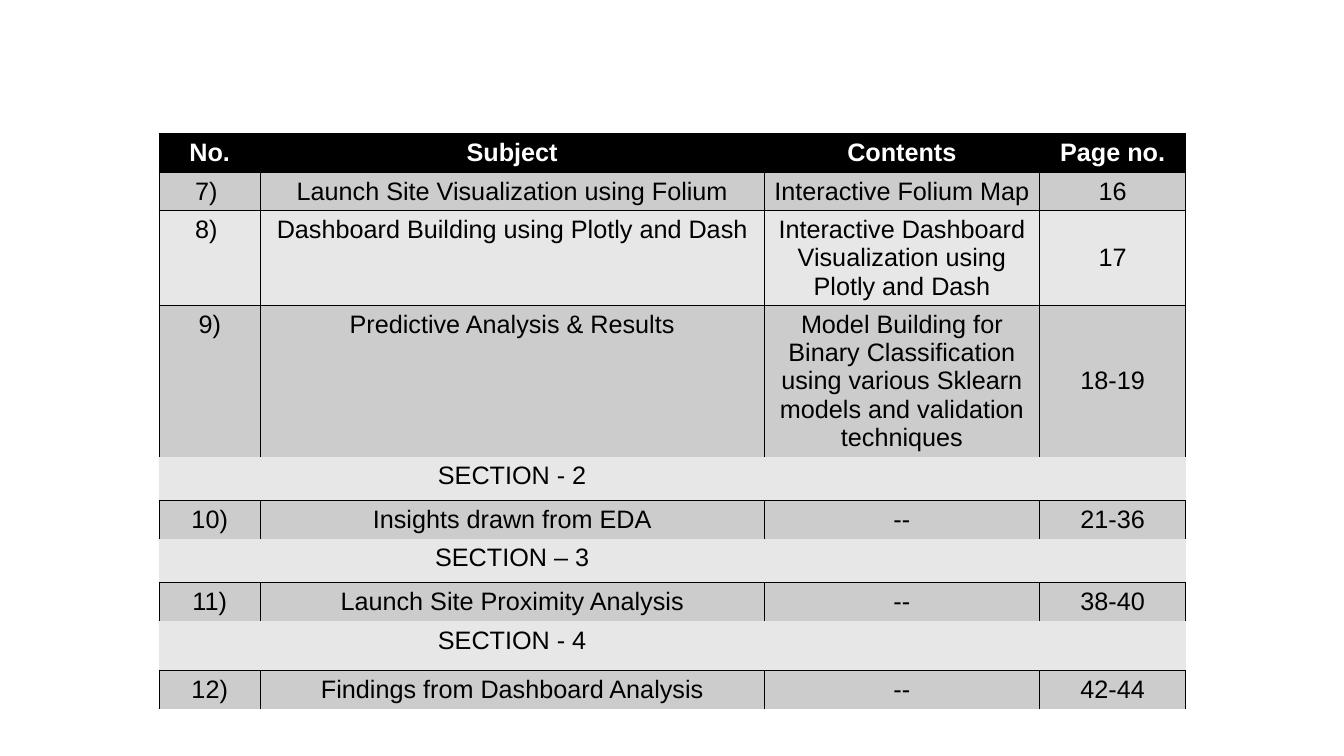
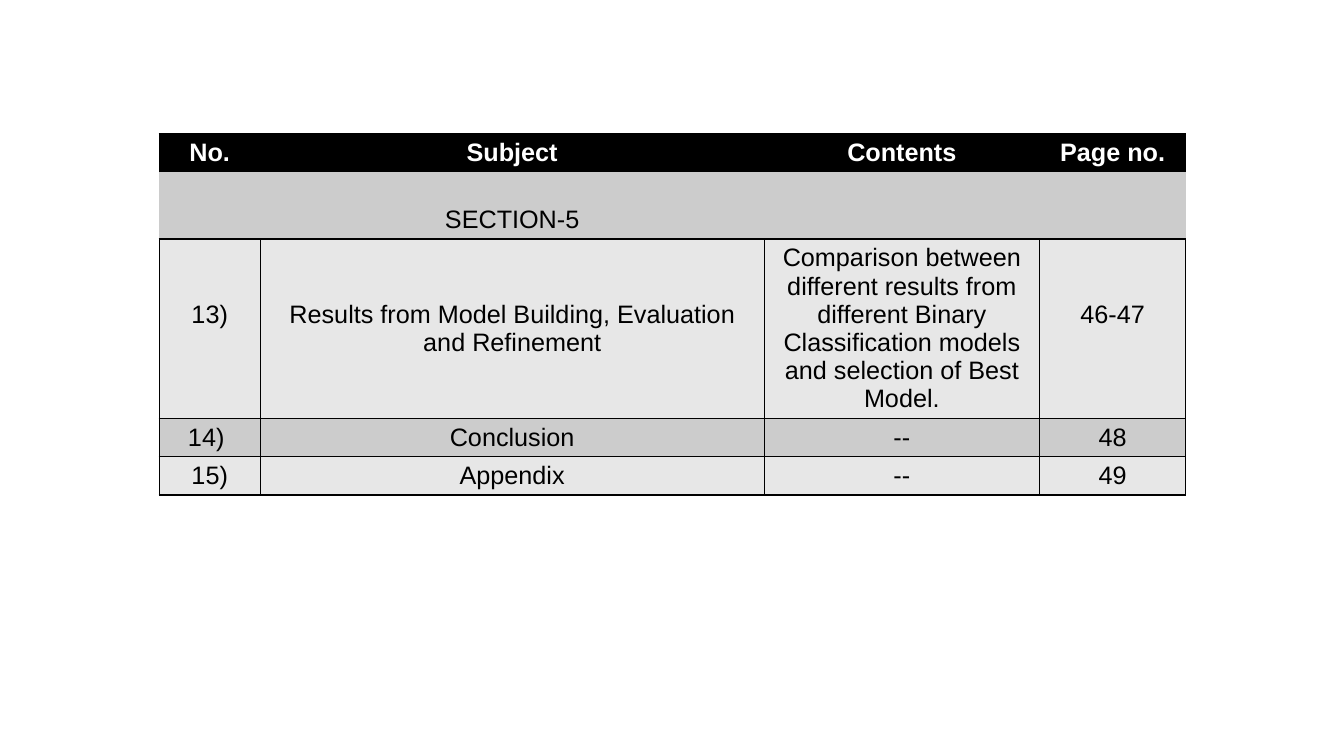
import dataclasses

import pptx
import pptx.dml.color
import pptx.enum.text
import pptx.util
from lxml import etree
from pptx.oxml.ns import qn


@dataclasses.dataclass(frozen=True)
class Theme:
    font: str = "Arial"
    size: float = 18
    ink: str = "000000"
    header_text: str = "FFFFFF"
    header_fill: str = "000000"
    bands: tuple = ("CCCCCC", "E7E7E7")
    rule: float = 1       # points
    line: float = 0.28    # inches per text line
    padding: float = 0.1  # inches above and below the text, together


THEME = Theme()
Inches = pptx.util.Inches
COLUMNS = (1, 5, 2.73, 1.45)
HEADER = ("No.", "Subject", "Contents", "Page no.")

# Each row: texts, height in text lines, lines left free above each text.
LEVEL = (0, 0, 0, 0)
AGENDA = [
    [
        (HEADER, 1, LEVEL),
        (("7) ", "Launch Site Visualization using Folium", "Interactive Folium Map", "16"), 1, LEVEL),
        (("8) ", "Dashboard Building using Plotly and Dash",
          "Interactive Dashboard Visualization using Plotly and Dash", "17"), 3, (0, 0, 0, 1)),
        (("9)", "Predictive Analysis & Results",
          "Model Building for Binary Classification using various Sklearn models "
          "and validation techniques", "18-19"), 5, (0, 0, 0, 2)),
        (("", "SECTION - 2", "", ""), 1.2, LEVEL),
        (("10)", "Insights drawn from EDA", "--", "21-36"), 1, LEVEL),
        (("", "SECTION – 3", "", ""), 1.2, LEVEL),
        (("11)", "Launch Site Proximity Analysis", "--", "38-40"), 1, LEVEL),
        (("", "SECTION - 4", "", ""), 1.4, LEVEL),
        (("12)", "Findings from Dashboard Analysis", "--", "42-44"), 1, LEVEL),
    ],
    [
        (HEADER, 1, LEVEL),
        (("", "SECTION-5", "", ""), 2, (0, 1, 0, 0)),
        (("13)", "Results from Model Building, Evaluation and Refinement",
          "Comparison between different results from different Binary Classification models "
          "and selection of Best Model.", "46-47"), 6, (2, 2, 0, 2)),
        (("14) ", "Conclusion", "--", "48"), 1, LEVEL),
        (("15)", "Appendix", "--", "49"), 1, LEVEL),
    ],
]


def set_borders(cell, visible):
    """Rule the sides named in visible (of L, R, T, B) and clear the others."""
    properties = cell._tc.get_or_add_tcPr()
    for side in "LRTB":
        border = etree.SubElement(properties, qn(f"a:ln{side}"), w=str(pptx.util.Pt(THEME.rule)))
        if side in visible:
            fill = etree.SubElement(border, qn("a:solidFill"))
            etree.SubElement(fill, qn("a:srgbClr"), val=THEME.ink)
        else:
            etree.SubElement(border, qn("a:noFill"))


deck = pptx.Presentation()
deck.slide_width, deck.slide_height = Inches(13.33), Inches(7.5)

for page, entries in enumerate(AGENDA):
    slide = deck.slides.add_slide(deck.slide_layouts[6])
    heights = [lines * THEME.line + THEME.padding for _, lines, _ in entries]
    agenda = slide.shapes.add_table(
        len(entries), len(COLUMNS), Inches(1.58), Inches(1.33),
        Inches(sum(COLUMNS)), Inches(sum(heights))).table
    agenda.first_row = agenda.horz_banding = False
    for column, width in zip(agenda.columns, COLUMNS):
        column.width = Inches(width)

    # A section opens without a rule above it; the list runs on until the last page.
    is_section = [not texts[0] for texts, _, _ in entries]
    is_last_page = page == len(AGENDA) - 1
    ruled_below = [not section for section in is_section[1:]] + [is_last_page]

    for row, (texts, _, free_lines) in enumerate(entries):
        agenda.rows[row].height = Inches(heights[row])
        is_header = row == 0
        sides = "" if is_section[row] else "LR"
        if is_header or ruled_below[row - 1]:
            sides += "T"
        if is_header or ruled_below[row]:
            sides += "B"
        fill = THEME.header_fill if is_header else THEME.bands[(row - 1) % 2]
        for column, text in enumerate(texts):
            cell = agenda.cell(row, column)
            set_borders(cell, sides)
            cell.fill.solid()
            cell.fill.fore_color.rgb = pptx.dml.color.RGBColor.from_string(fill)
            cell.margin_top = Inches(THEME.padding / 2 + free_lines[column] * THEME.line)
            cell.text = text
            paragraph = cell.text_frame.paragraphs[0]
            paragraph.alignment = pptx.enum.text.PP_ALIGN.CENTER
            paragraph.font.name = THEME.font
            paragraph.font.size = pptx.util.Pt(THEME.size)
            paragraph.font.bold = is_header
            paragraph.font.color.rgb = pptx.dml.color.RGBColor.from_string(
                THEME.header_text if is_header else THEME.ink)

deck.save("out.pptx")
